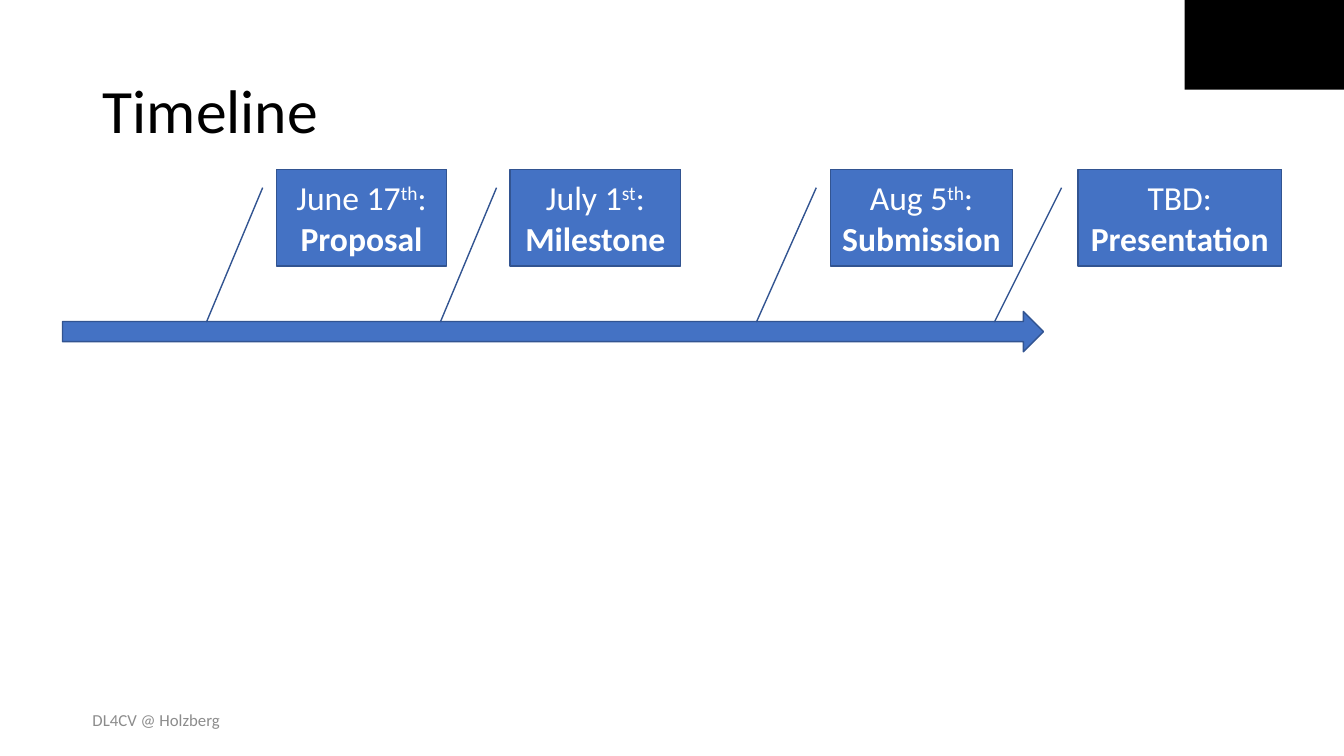
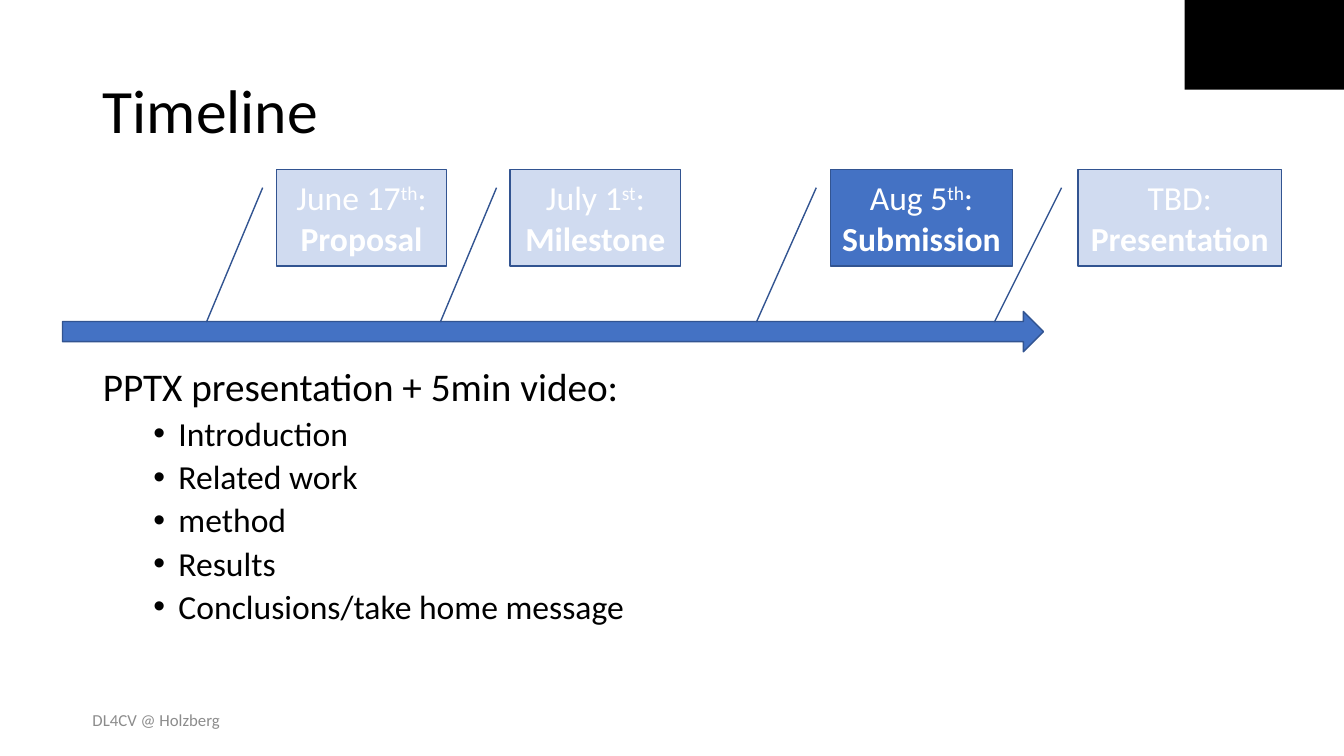
import pptx
import pptx.dml.color
import pptx.enum.shapes
import pptx.enum.text
import pptx.oxml.ns
import pptx.util
from lxml import etree
from pptx.util import Inches

COLORS = {"ink": "000000", "blue": "4472C4", "edge": "325491", "paper": "FFFFFF", "footer": "8C8C8C"}
FONT = "Calibri"
SHAPES = pptx.enum.shapes.MSO_SHAPE
ALIGN = pptx.enum.text.PP_ALIGN
MIDDLE = pptx.enum.text.MSO_ANCHOR.MIDDLE
MILESTONES = [
    (2.74, 1.69, "June 17", "th", "Proposal"),
    (5.06, 1.69, "July 1", "st", "Milestone"),
    (8.24, 1.8, "Aug 5", "th", "Submission"),
    (10.69, 2.02, "TBD", "", "Presentation"),
]
DELIVERABLES = ["Introduction", "Related work", "method", "Results", "Conclusions/take home message"]


def color(name):
    return pptx.dml.color.RGBColor.from_string(COLORS[name])


def add_xml(parent, tag, **attributes):
    return etree.SubElement(parent, pptx.oxml.ns.qn(tag), **attributes)


class TimelineDeck:
    """Hold the deck style and draw elements on the current slide."""

    def __init__(self):
        self.deck = pptx.Presentation()
        self.deck.slide_width = Inches(13.33)
        self.deck.slide_height = Inches(7.5)
        self.page = None

    def start_page(self, title, layout):
        self.page = self.deck.slides.add_slide(self.deck.slide_layouts[layout])
        self.shape(SHAPES.RECTANGLE, 11.75, 0, 1.58, 0.89, "ink")
        box = self.page.shapes.title
        self.place(box, 0.92, 0.4, 11.5, 1.45)
        box.text_frame.text = title
        box.text_frame.vertical_anchor = MIDDLE
        para = box.text_frame.paragraphs[0]
        para.alignment = ALIGN.LEFT
        para.line_spacing = 0.9
        self.format(para.runs[0], 44, "ink")
        self.footer("DL4CV @ Holzberg")

    def place(self, box, left, top, width, height):
        box.left, box.top = Inches(left), Inches(top)
        box.width, box.height = Inches(width), Inches(height)

    def format(self, span, size, name, bold=False):
        span.font.name = FONT
        span.font.size = pptx.util.Pt(size)
        span.font.bold = bold
        span.font.color.rgb = color(name)

    def footer(self, text):
        box = self.page.shapes.add_textbox(Inches(0.75), Inches(6.94), Inches(1.6), Inches(0.4))
        box.text_frame.word_wrap = True
        box.text_frame.vertical_anchor = MIDDLE
        box.text_frame.text = text
        para = box.text_frame.paragraphs[0]
        para.alignment = ALIGN.CENTER
        self.format(para.runs[0], 12, "footer")

    def shape(self, kind, left, top, width, height, fill, line=None):
        shape = self.page.shapes.add_shape(kind, Inches(left), Inches(top), Inches(width), Inches(height))
        shape.shadow.inherit = False
        shape.fill.solid()
        shape.fill.fore_color.rgb = color(fill)
        if line:
            shape.line.color.rgb = color(line)
            shape.line.width = pptx.util.Pt(1)
        else:
            shape.line.fill.background()
        return shape

    def callout(self, left, width, date, suffix, event, faded):
        box = self.shape(SHAPES.LINE_CALLOUT_1, left, 1.68, width, 0.96, "blue", "edge")
        for index, value in enumerate((0.19, -0.08, 1.58, -0.41)):
            box.adjustments[index] = value
        if faded:
            fill = box.fill._xPr.find(".//" + pptx.oxml.ns.qn("a:srgbClr"))
            add_xml(fill, "a:alpha", val="25000")
        frame = box.text_frame
        frame.margin_left = frame.margin_right = Inches(0.05)
        frame.vertical_anchor = MIDDLE
        para = frame.paragraphs[0]
        para.alignment = ALIGN.CENTER
        for text in filter(None, (date, suffix, ":")):
            span = para.add_run()
            span.text = text
            self.format(span, 24, "paper")
            if text == suffix:
                span._r.get_or_add_rPr().set("baseline", "30000")
        para.add_line_break()
        span = para.add_run()
        span.text = event
        self.format(span, 24, "paper", bold=True)

    def timeline(self, current=None):
        self.shape(SHAPES.RIGHT_ARROW, 0.62, 3.09, 9.73, 0.4, "blue", "edge")
        for left, width, date, suffix, event in MILESTONES:
            faded = current is not None and event != current
            self.callout(left, width, date, suffix, event, faded)

    def body(self, heading, items):
        box = self.page.placeholders[1]
        self.place(box, 0.92, 3.6, 11.5, 3.34)
        box.text_frame.text = "\n".join([heading, *items])
        for index, para in enumerate(box.text_frame.paragraphs):
            is_item = index > 0
            para.level = int(is_item)
            para.line_spacing = 0.9
            para.space_before = pptx.util.Pt(5 if is_item else 10)
            self.format(para.runs[0], 24 if is_item else 28, "ink")
            properties = para._p.get_or_add_pPr()
            properties.set("marL", str(Inches(0.75 if is_item else 0)))
            properties.set("indent", str(Inches(-0.25 if is_item else 0)))
            if is_item:
                add_xml(properties, "a:buFont", typeface="Arial")
                add_xml(properties, "a:buChar", char="•")
            else:
                add_xml(properties, "a:buNone")


def main():
    slides = TimelineDeck()
    slides.start_page("Timeline", layout=5)
    slides.timeline()
    slides.start_page("Timeline", layout=1)
    slides.timeline(current="Submission")
    slides.body("PPTX presentation + 5min video:", DELIVERABLES)
    slides.deck.save("out.pptx")


if __name__ == "__main__":
    main()
